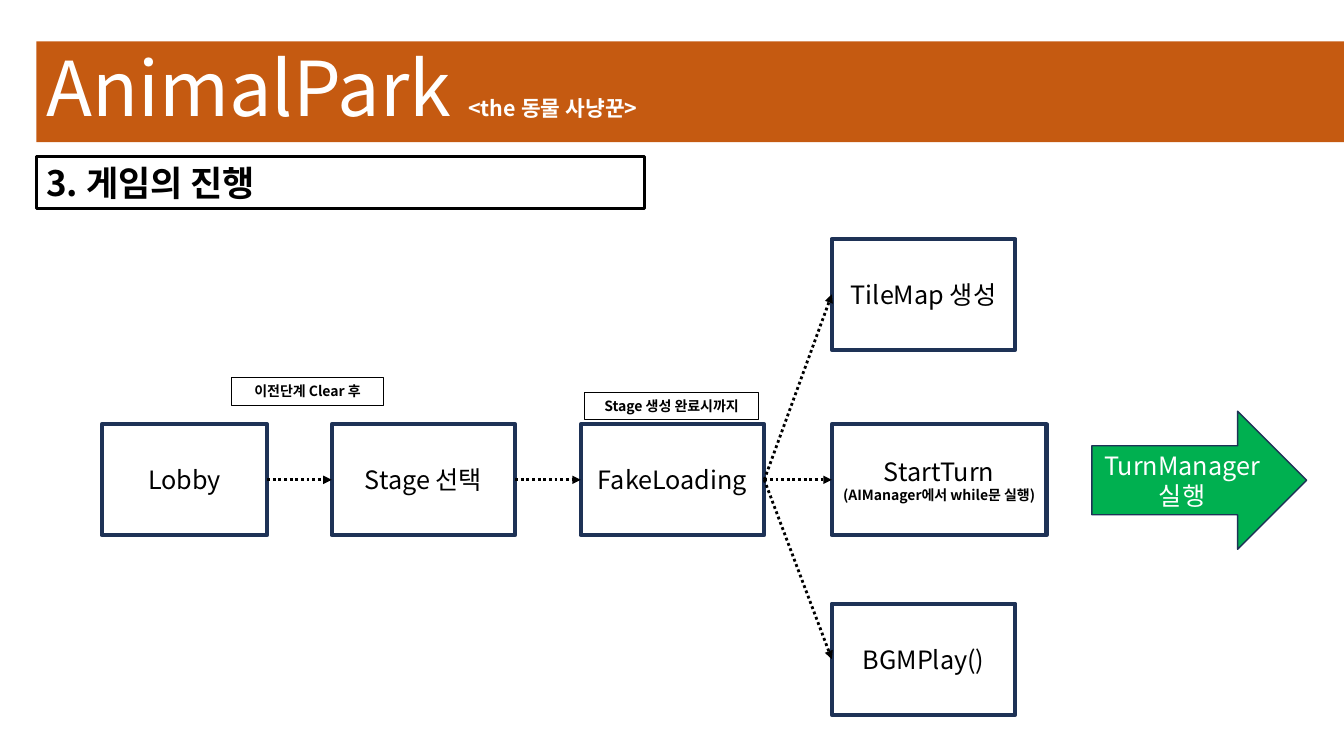
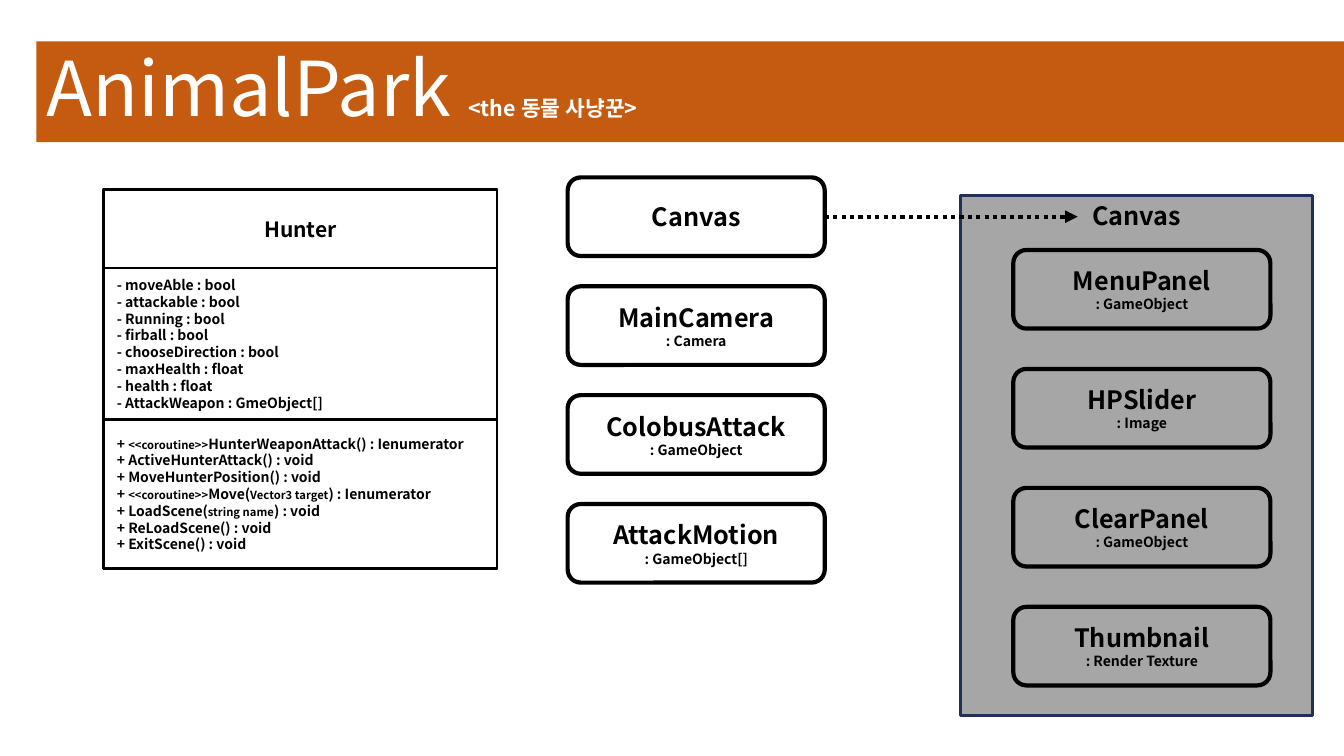
import pptx
import pptx.dml.color
import pptx.enum.dml
import pptx.enum.shapes
import pptx.enum.text
import pptx.oxml
import pptx.oxml.ns
import pptx.util

PX = 9144  # EMU in one px: 100 px to the inch
FONT = "Noto Sans CJK KR"
BLACK, WHITE, NAVY = "000000", "FFFFFF", "1E3256"
ORANGE, GREEN, GREY = "C55A11", "00B050", "A6A6A6"

SHAPE = pptx.enum.shapes.MSO_SHAPE
LEFT, CENTER = pptx.enum.text.PP_ALIGN.LEFT, pptx.enum.text.PP_ALIGN.CENTER
TOP, MIDDLE = pptx.enum.text.MSO_ANCHOR.TOP, pptx.enum.text.MSO_ANCHOR.MIDDLE
SIDE_LEFT, SIDE_RIGHT = 1, 3

# Text styles, (size, bold)
STEP = [(18, False), (10, True)]
OBJECT = [(18, True), (10, True)]
LABEL = [(10, True)]
MEMBER = [(10, True), (8, True)]
TITLE = [(54, False), (15.3, True)]

FIELDS = [
    "moveAble : bool", "attackable : bool", "Running : bool", "firball : bool",
    "chooseDirection : bool", "maxHealth : float", "health : float",
    "AttackWeapon : GmeObject[]",
]
# Parts of each line alternate between normal and small text
METHODS = [
    [" + ", "<<coroutine>>", "HunterWeaponAttack() : Ienumerator"],
    [" + ActiveHunterAttack() : void"],
    [" + MoveHunterPosition() : void"],
    [" + ", "<<coroutine>>", "Move(", "Vector3 target", ") : Ienumerator"],
    [" + LoadScene(", "string name", ") : void"],
    [" + ReLoadScene() : void"],
    [" + ExitScene() : void"],
]


def emu(*lengths):
    return [pptx.util.Emu(length * PX) for length in lengths]


def rgb(color):
    return pptx.dml.color.RGBColor.from_string(color)


def paint(fill, color):
    if color is None:
        fill.background()
    else:
        fill.solid()
        fill.fore_color.rgb = rgb(color)


# Text
def format_span(span, style, color):
    size, bold = style
    span.font.size = pptx.util.Pt(size)
    span.font.bold = bold
    span.font.color.rgb = rgb(color)
    span.font.name = FONT
    east_asian = pptx.oxml.parse_xml(
        f'<a:ea {pptx.oxml.ns.nsdecls("a")} typeface="{FONT}"/>')
    span.font._element.append(east_asian)


def add_spans(para, parts, styles, color):
    for number, part in enumerate(parts):
        span = para.add_run()
        span.text = part
        format_span(span, styles[number % len(styles)], color)


def write_lines(frame, text, styles, color, align):
    frame.text = text
    for number, para in enumerate(frame.paragraphs):
        para.alignment = align
        for span in para.runs:
            format_span(span, styles[min(number, len(styles) - 1)], color)


# Shapes
def add_box(shapes, at, text="", styles=STEP, kind=SHAPE.RECTANGLE, fill=None,
            line=BLACK, width=2, color=BLACK, align=CENTER, anchor=MIDDLE):
    box = shapes.add_shape(kind, *emu(*at))
    box.shadow.inherit = False
    paint(box.fill, fill)
    box.line.color.rgb = rgb(line)
    box.line.width = pptx.util.Pt(width)
    box.text_frame.word_wrap = True
    box.text_frame.vertical_anchor = anchor
    if text:
        write_lines(box.text_frame, text, styles, color, align)
    return box


def add_step(page, left, top, width, text):
    return add_box(page.shapes, (left, top, width, 110), text, line=NAVY, width=3)


def add_label(page, at, text):
    add_box(page.shapes, at, text, LABEL, width=0.75, anchor=TOP)


def add_column(page, left, top, step, texts):
    return [
        add_box(page.shapes, (left, top + row * step, 255, 78), text, OBJECT,
                kind=SHAPE.ROUNDED_RECTANGLE, width=3)
        for row, text in enumerate(texts)
    ]


def add_arrow(page, source, target=None, end=(0, 0), width=2):
    arrow = page.shapes.add_connector(
        pptx.enum.shapes.MSO_CONNECTOR.STRAIGHT, 0, 0, *emu(*end))
    arrow.begin_connect(source, SIDE_RIGHT)
    if target is not None:
        arrow.end_connect(target, SIDE_LEFT)
    arrow.line.color.rgb = rgb(BLACK)
    arrow.line.width = pptx.util.Pt(width)
    arrow.line.dash_style = pptx.enum.dml.MSO_LINE.ROUND_DOT
    names = pptx.oxml.ns.nsdecls("a")
    properties = arrow._element.spPr
    properties.find(pptx.oxml.ns.qn("a:ln")).append(
        pptx.oxml.parse_xml(f'<a:tailEnd {names} type="triangle"/>'))
    properties.append(pptx.oxml.parse_xml(f"<a:effectLst {names}/>"))


def add_page(deck):
    page = deck.slides.add_slide(deck.slide_layouts[5])
    title = page.shapes.title
    title.left, title.top, title.width, title.height = emu(36, 41, 1297, 100)
    paint(title.fill, ORANGE)
    frame = title.text_frame
    frame.word_wrap = True
    frame.auto_size = pptx.enum.text.MSO_AUTO_SIZE.NONE
    frame.vertical_anchor = MIDDLE
    para = frame.paragraphs[0]
    para.alignment = LEFT
    para.line_spacing = 0.9
    add_spans(para, ["AnimalPark ", "<the 동물 사냥꾼>"], TITLE, WHITE)
    return page


# Slides
def build_game_flow(deck):
    page = add_page(deck)
    add_box(page.shapes, (36, 155, 603, 52), "3. 게임의 진행", [(25, True)],
            align=LEFT, anchor=TOP)

    lobby = add_step(page, 101, 421, 164, "Lobby")
    stage = add_step(page, 329, 421, 182, "Stage 선택")
    loading = add_step(page, 576, 421, 182, "FakeLoading")
    tile_map = add_step(page, 825, 237, 182, "TileMap 생성")
    start_turn = add_step(page, 825, 421, 213,
                          "StartTurn\n(AIManager에서 while문 실행)")
    music = add_step(page, 825, 599, 182, "BGMPlay()")

    add_arrow(page, lobby, stage)
    add_arrow(page, stage, loading)
    for target in (tile_map, start_turn, music):
        add_arrow(page, loading, target)

    add_label(page, (230, 375, 150, 27), "이전단계 Clear 후")
    add_label(page, (580, 389, 172, 27), "Stage 생성 완료시까지")
    add_box(page.shapes, (1083, 408, 213, 137), "TurnManager실행",
            kind=SHAPE.RIGHT_ARROW, fill=GREEN, line=NAVY, width=1, color=WHITE)


def add_hunter_class(page):
    shapes = page.shapes.add_group_shape().shapes
    left, width = 103, 390
    add_box(shapes, (left, 188, width, 376))
    add_box(shapes, (left, 188, width, 78), "Hunter", [(15, True)])
    add_box(shapes, (left, 266, width, 150),
            "\n".join(f" - {field}" for field in FIELDS), MEMBER[:1], align=LEFT)
    frame = add_box(shapes, (left, 416, width, 148)).text_frame
    for number, parts in enumerate(METHODS):
        para = frame.add_paragraph() if number else frame.paragraphs[0]
        para.alignment = LEFT
        add_spans(para, parts, MEMBER, BLACK)


def build_hunter_classes(deck):
    page = add_page(deck)
    add_box(page.shapes, (953, 194, 349, 516), "Canvas", OBJECT, fill=GREY,
            line=NAVY, anchor=TOP)
    add_hunter_class(page)
    parts = add_column(page, 563, 176, 108, [
        "Canvas", "MainCamera\n: Camera", "ColobusAttack\n: GameObject",
        "AttackMotion\n: GameObject[]"])
    add_column(page, 1005, 248, 118, [
        "MenuPanel\n: GameObject", "HPSlider\n: Image",
        "ClearPanel\n: GameObject", "Thumbnail\n: Render Texture"])
    add_arrow(page, parts[0], end=(1069, 215), width=3)


def main():
    deck = pptx.Presentation()
    deck.slide_width, deck.slide_height = emu(1333, 750)
    build_game_flow(deck)
    build_hunter_classes(deck)
    deck.save("out.pptx")


if __name__ == "__main__":
    main()
